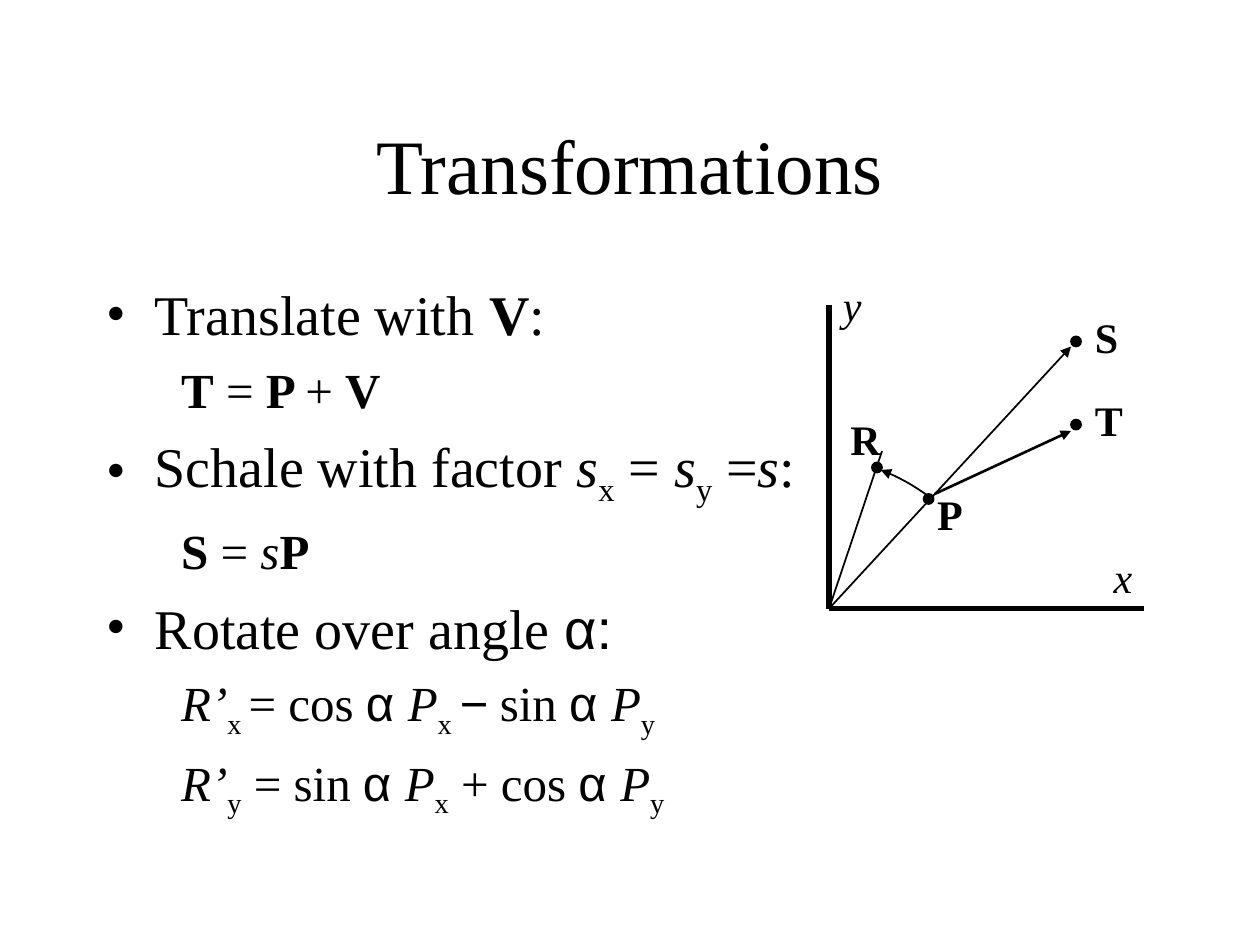
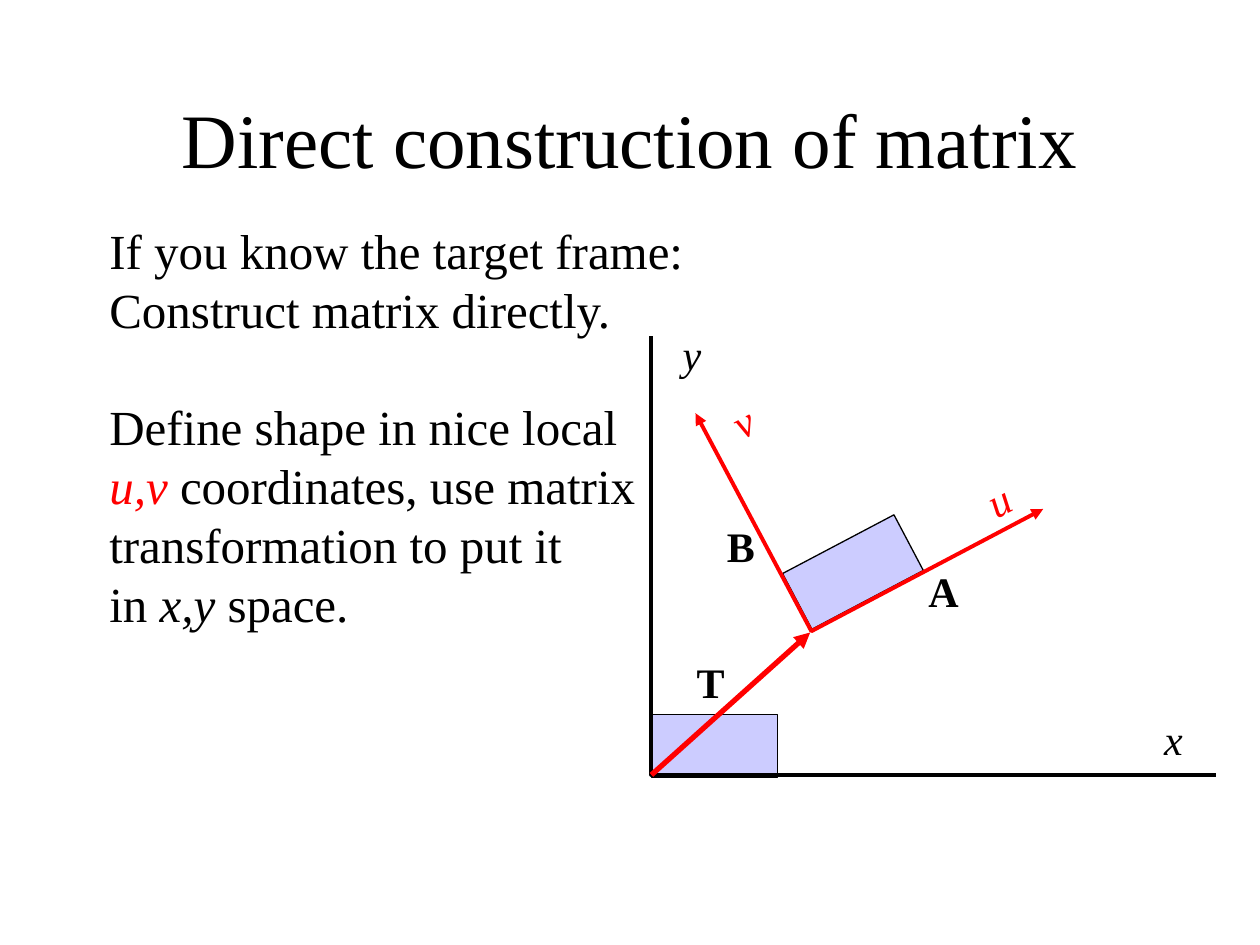
from dataclasses import dataclass

from lxml.etree import SubElement
from pptx import Presentation
from pptx.dml.color import RGBColor
from pptx.enum.shapes import MSO_CONNECTOR as Connector, MSO_SHAPE as Preset
from pptx.enum.text import MSO_ANCHOR as Anchor, MSO_AUTO_SIZE as AutoSize, PP_ALIGN as Align
from pptx.oxml.ns import qn
from pptx.util import Inches, Pt

BLACK, RED, LILAC = "000000", "FF0000", "CCCCFF"
SERIF, SANS = "Times New Roman", "Arial"
TILT = 332.2
DOT = 0.08

Point = tuple[float, float]


@dataclass
class Span:
    text: str
    style: str = ""  # b bold, i italic, s subscript, a sans, r red


@dataclass
class Line:
    spans: list[Span]
    size: float = 28
    before: float = 0
    margin: float = 0
    indent: float = 0
    bullet: bool = False
    align: Align = Align.LEFT


@dataclass
class Label:
    text: str
    left: float
    top: float
    width: float
    style: str = "b"
    rotation: float = 0


def color(value: str) -> RGBColor:
    return RGBColor.from_string(value)


# Text
def add_span(para, span: Span, size: float) -> None:
    run = para.add_run()
    run.text = span.text
    values = {
        "name": SANS if "a" in span.style else SERIF,
        "size": Pt(size),
        "bold": "b" in span.style,
        "italic": "i" in span.style,
    }
    for name, value in values.items():
        setattr(run.font, name, value)
    run.font.color.rgb = color(RED if "r" in span.style else BLACK)
    if "s" in span.style:
        run._r.get_or_add_rPr().set("baseline", "-25000")


def add_line(para, line: Line) -> None:
    para.alignment = line.align
    para.space_before = Pt(line.before)
    properties = para._p.get_or_add_pPr()
    properties.set("marL", str(Inches(line.margin)))
    properties.set("indent", str(Inches(line.indent)))
    if line.bullet:
        SubElement(properties, qn("a:buFont")).set("typeface", SERIF)
        SubElement(properties, qn("a:buChar")).set("char", "•")
    for span in line.spans:
        add_span(para, span, line.size)


def add_text(page, place: tuple[float, float, float, float], lines: list[Line], **frame_format):
    box = page.shapes.add_textbox(*map(Inches, place))
    frame = box.text_frame
    for name, value in ({"word_wrap": True} | frame_format).items():
        setattr(frame, name, value)
    for index, line in enumerate(lines):
        add_line(frame.add_paragraph() if index else frame.paragraphs[0], line)
    return box


def add_title(page, text: str, top: float) -> None:
    title = Line([Span(text)], size=44, align=Align.CENTER)
    add_text(page, (0.75, top, 8.5, 1.25), [title], vertical_anchor=Anchor.MIDDLE)


def add_labels(page, labels: list[Label]) -> None:
    for label in labels:
        box = add_text(
            page, (label.left, label.top, label.width, 0.5),
            [Line([Span(label.text, label.style)], size=24)],
            word_wrap=False, auto_size=AutoSize.SHAPE_TO_FIT_TEXT,
        )
        box.rotation = label.rotation


# Drawing
def style_line(shape, ink: str, weight: float, ends: tuple[str, ...]) -> None:
    shape.line.color.rgb = color(ink)
    shape.line.width = Pt(weight)
    for end in ends:
        SubElement(shape.line._get_or_add_ln(), qn(f"a:{end}")).set("type", "triangle")


def add_straight(page, start: Point, end: Point, weight: float,
                 ink: str = BLACK, arrow: bool = False) -> None:
    line = page.shapes.add_connector(Connector.STRAIGHT, *map(Inches, start + end))
    style_line(line, ink, weight, ("tailEnd",) if arrow else ())
    SubElement(line._element.spPr, qn("a:effectLst"))


def add_path(page, points: list[Point], weight: float,
             ink: str = BLACK, ends: tuple[str, ...] = ()) -> None:
    corners = [(Inches(x), Inches(y)) for x, y in points]
    builder = page.shapes.build_freeform(*corners[0])
    builder.add_line_segments(corners[1:], close=False)
    path = builder.convert_to_shape()
    path.fill.background()
    path.shadow.inherit = False
    style_line(path, ink, weight, ends)


def add_solid(page, preset: Preset, place: tuple[float, float, float, float],
              fill: str, weight: float, rotation: float = 0) -> None:
    solid = page.shapes.add_shape(preset, *map(Inches, place))
    solid.fill.solid()
    solid.fill.fore_color.rgb = color(fill)
    solid.shadow.inherit = False
    solid.rotation = rotation
    style_line(solid, BLACK, weight, ())


def curve(a: Point, b: Point, c: Point, d: Point, steps: int = 12) -> list[Point]:
    """Points along a cubic Bezier curve."""
    points = []
    for step in range(steps + 1):
        t = step / steps
        weights = ((1 - t) ** 3, 3 * t * (1 - t) ** 2, 3 * t * t * (1 - t), t ** 3)
        x, y = (sum(w * v for w, v in zip(weights, axis)) for axis in zip(a, b, c, d))
        points.append((x, y))
    return points


# Slides
def item(*spans: Span) -> Line:
    return Line(list(spans), size=32, before=8, margin=0.38, indent=-0.38, bullet=True)


def formula(*spans: Span) -> Line:
    return Line(list(spans), before=7, margin=0.9, indent=-0.31)


def build_transformations(page) -> None:
    add_title(page, "Transformations", 0.67)
    alpha, p, sub_x, sub_y = Span("α ", "a"), Span("P", "i"), Span("x", "s"), Span("y", "s")
    rotated, sub_x_gap = Span("R’", "i"), Span("x ", "s")
    add_text(page, (0.75, 2.17, 8.5, 4.5), [
        item(Span("Translate with "), Span("V", "b"), Span(":")),
        formula(Span("T", "b"), Span(" = "), Span("P ", "b"), Span("+ "), Span("V", "b")),
        item(Span("Schale with factor "), Span("s", "i"), sub_x, Span(" = "),
             Span("s", "i"), sub_y, Span(" ="), Span("s", "i"), Span(":")),
        formula(Span("S", "b"), Span(" = "), Span("s", "i"), Span("P", "b")),
        item(Span("Rotate over angle "), Span("α:", "a")),
        formula(rotated, sub_x_gap, Span("= cos "), alpha, p, sub_x_gap,
                Span("−", "ai"), Span(" sin "), alpha, p, sub_y),
        formula(rotated, sub_y, Span(" = sin "), alpha, p, sub_x,
                Span(" + cos "), alpha, p, sub_y),
    ])

    # Axes, rays and moves
    origin = (6.58, 4.83)
    for axis_end in ((9.08, 4.83), (6.58, 2.42)):
        add_straight(page, origin, axis_end, 3)
    add_straight(page, (7.42, 3.92), (8.5, 3.42), 1.5, arrow=True)
    add_straight(page, origin, (8.5, 2.75), 1, arrow=True)
    add_straight(page, origin, (7, 3.58), 1)
    rotation_arc = curve((7.37, 3.94), (7.25, 3.85), (7.12, 3.78), (6.99, 3.73))
    add_path(page, rotation_arc, 1, ends=("tailEnd",))

    # Points P, S, T and R
    for left, top in ((7.33, 3.92), (8.5, 2.67), (8.5, 3.33), (6.92, 3.67)):
        add_solid(page, Preset.OVAL, (left, top, DOT, DOT), BLACK, 1)
    add_labels(page, [
        Label("x", 8.74, 4.33, 0.35, "i"),
        Label("y", 6.59, 2.17, 0.35, "i"),
        Label("P", 7.34, 3.83, 0.4),
        Label("T", 8.59, 3.08, 0.42),
        Label("S", 8.59, 2.42, 0.38),
        Label("R", 6.65, 3.23, 0.44),
    ])


def build_direct_construction(page) -> None:
    # Shape in the target frame and in local coordinates
    add_solid(page, Preset.RECTANGLE, (6.27, 4.29, 1, 0.5), LILAC, 0.75, TILT)
    add_solid(page, Preset.RECTANGLE, (5.17, 5.67, 1, 0.5), LILAC, 0.75)
    add_title(page, "Direct construction of matrix", 0.47)

    # Both frames and the translation between them
    origin = (5.17, 6.15)
    add_path(page, [(5.17, 2.67), origin, (9.65, 6.15)], 2.25)
    add_path(page, [(5.52, 3.28), (6.44, 5.01), (8.28, 4.04)], 2.25, RED, ("headEnd", "tailEnd"))
    add_straight(page, origin, (6.43, 5.02), 3, RED, arrow=True)
    add_labels(page, [
        Label("x", 9.14, 5.61, 0.35, "i"),
        Label("y", 5.32, 2.56, 0.35, "i"),
        Label("v", 5.72, 3.09, 0.35, "ir", TILT),
        Label("u", 7.74, 3.72, 0.36, "ir", TILT),
        Label("A", 7.27, 4.44, 0.44),
        Label("B", 5.67, 4.08, 0.42),
        Label("T", 5.43, 5.16, 0.42),
    ])
    add_text(page, (0.77, 1.7, 4.76, 3.37), [
        Line([Span("If you know the target frame:")]),
        Line([Span("Construct matrix directly.")]),
        Line([Span("Define shape in nice local")], before=33.6),
        Line([Span("u,v ", "ir"), Span("coordinates, use matrix")]),
        Line([Span("transformation to put it")]),
        Line([Span("in "), Span("x,y", "i"), Span(" space.")]),
    ])


def main() -> None:
    deck = Presentation()
    deck.slide_width, deck.slide_height = Inches(10), Inches(7.5)
    for build in (build_transformations, build_direct_construction):
        build(deck.slides.add_slide(deck.slide_layouts[6]))
    deck.save("out.pptx")


if __name__ == "__main__":
    main()
